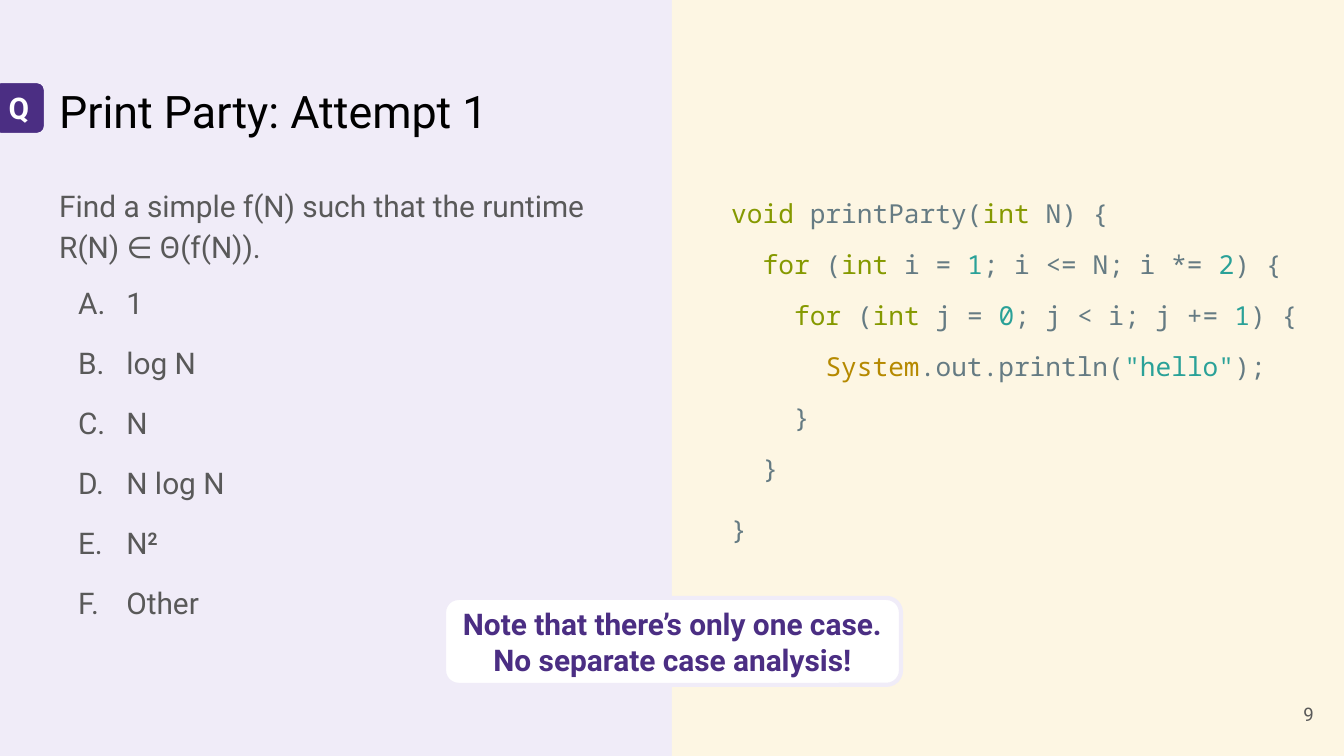
from lxml import etree
from pptx import Presentation
from pptx import util as u
from pptx.dml.color import RGBColor
from pptx.enum import shapes, text
from pptx.oxml import ns

SCALE = 914400 / 134.4  # EMU per px

LAVENDER = RGBColor(0xF0, 0xEC, 0xF8)
CREAM = RGBColor(0xFD, 0xF6, 0xE3)
PURPLE = RGBColor(0x4B, 0x2E, 0x83)
WHITE = RGBColor(0xFF, 0xFF, 0xFF)
BLACK = RGBColor(0, 0, 0)
GRAY = RGBColor(0x59, 0x59, 0x59)
SLATE = RGBColor(0x65, 0x7B, 0x83)
GREEN = RGBColor(0x85, 0x99, 0x00)
TEAL = RGBColor(0x2A, 0xA1, 0x98)
GOLD = RGBColor(0xB5, 0x89, 0x00)


def px(*lengths):
    return [u.Emu(round(length * SCALE)) for length in lengths]


def fill_box(box, lines, size, color, font="Roboto", bold=False, align=text.PP_ALIGN.LEFT,
             anchor=text.MSO_ANCHOR.MIDDLE, numbered=False):
    """Write lines into a box; '|' splits a line into spans."""
    frame = box.text_frame
    frame.word_wrap = True
    frame.vertical_anchor = anchor
    (frame.margin_left, frame.margin_top,
     frame.margin_right, frame.margin_bottom) = [u.Inches(0.1)] * 4
    for index, line in enumerate(lines):
        para = frame.paragraphs[0] if index == 0 else frame.add_paragraph()
        para.alignment = align
        if numbered and index:
            props = para._p.get_or_add_pPr()
            props.set("marL", str(u.Inches(0.5)))
            props.set("indent", str(u.Inches(-0.36)))
            etree.SubElement(props, ns.qn("a:buAutoNum"), type="alphaUcPeriod")
        para.font.name, para.font.size = font, u.Pt(size)
        para.font.bold, para.font.color.rgb = bold, color
        for piece in line.split("|"):
            para.add_run().text = piece
    return frame.paragraphs


deck = Presentation()
deck.slide_width, deck.slide_height = px(1344, 756)
page = deck.slides.add_slide(deck.slide_layouts[6])

# Two-tone background
page.background.fill.solid()
page.background.fill.fore_color.rgb = LAVENDER
panel = page.shapes.add_shape(shapes.MSO_SHAPE.RECTANGLE, *px(672, 0, 672, 756))
panel.shadow.inherit = False
panel.fill.solid()
panel.fill.fore_color.rgb = CREAM
panel.line.fill.background()

# Page number and title
number = page.shapes.add_textbox(*px(1246, 685, 81, 58))
fill_box(number, ["9"], 10, GRAY, align=text.PP_ALIGN.RIGHT)
title = page.shapes.add_textbox(*px(46, 66, 581, 85))
fill_box(title, ["Print Party: Attempt 1"], 24, BLACK, anchor=text.MSO_ANCHOR.BOTTOM)

# Question and lettered answers
question = page.shapes.add_textbox(*px(46, 169, 564, 503))
answers = fill_box(
    question,
    ["Find a simple f(N) such that the runtime R(N) ∈ Θ(f(N)).",
     "1", "log N", "N", "N log N", "N|2", "Other"],
    16, GRAY, anchor=text.MSO_ANCHOR.TOP, numbered=True)
question.text_frame.margin_right = 0
for index, para in enumerate(answers):
    para.line_spacing = 1.15
    if index:
        para.space_before = u.Pt(8 if index == 1 else 10)
exponent = answers[5].runs[1]
exponent.font.bold = True
exponent.font._element.set("baseline", "30000")

# Code with syntax colours
SYNTAX = {"void": GREEN, "int": GREEN, "for": GREEN, "System": GOLD,
          "0": TEAL, "1": TEAL, "2": TEAL, '"hello"': TEAL}
CODE = [
    "void| printParty(|int| N) {",
    "  |for| (|int| i = |1|; i <= N; i *= |2|) {",
    "    |for| (|int| j = |0|; j < i; j += |1|) {",
    '      |System|.out.println(|"hello"|);',
    "    }",
    "  }",
    "}",
]
code = page.shapes.add_textbox(*px(718, 66, 626, 606))
code_lines = fill_box(code, CODE, 14, SLATE, font="Noto Sans Mono")
for index, para in enumerate(code_lines):
    para.line_spacing = 1.15
    if index:
        para.space_before = u.Pt(8)
    for span in para.runs:
        if span.text in SYNTAX:
            span.font.color.rgb = SYNTAX[span.text]
code_lines[-1].line_spacing = 1.48

# Question badge and note
for place, words, back, ink in [
    ((-8, 81, 54, 54), "Q", PURPLE, WHITE),
    ((444, 598, 457, 87), "Note that there’s only one case. No separate case analysis!",
     WHITE, PURPLE),
]:
    label = page.shapes.add_shape(shapes.MSO_SHAPE.ROUNDED_RECTANGLE, *px(*place))
    label.shadow.inherit = False
    label.fill.solid()
    label.fill.fore_color.rgb = back
    label.line.color.rgb = LAVENDER
    label.line.width = u.Pt(2.25)
    fill_box(label, [words], 16, ink, bold=True, align=text.PP_ALIGN.CENTER)

deck.save("out.pptx")
